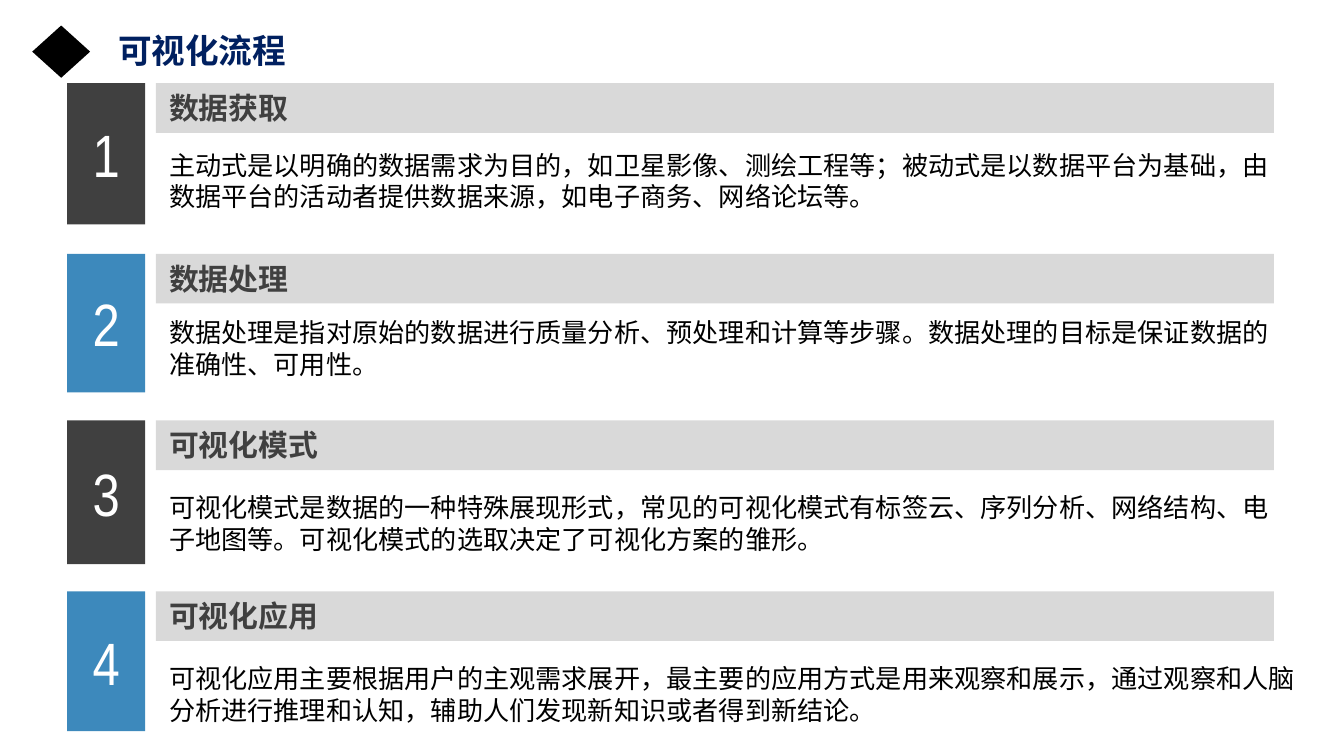
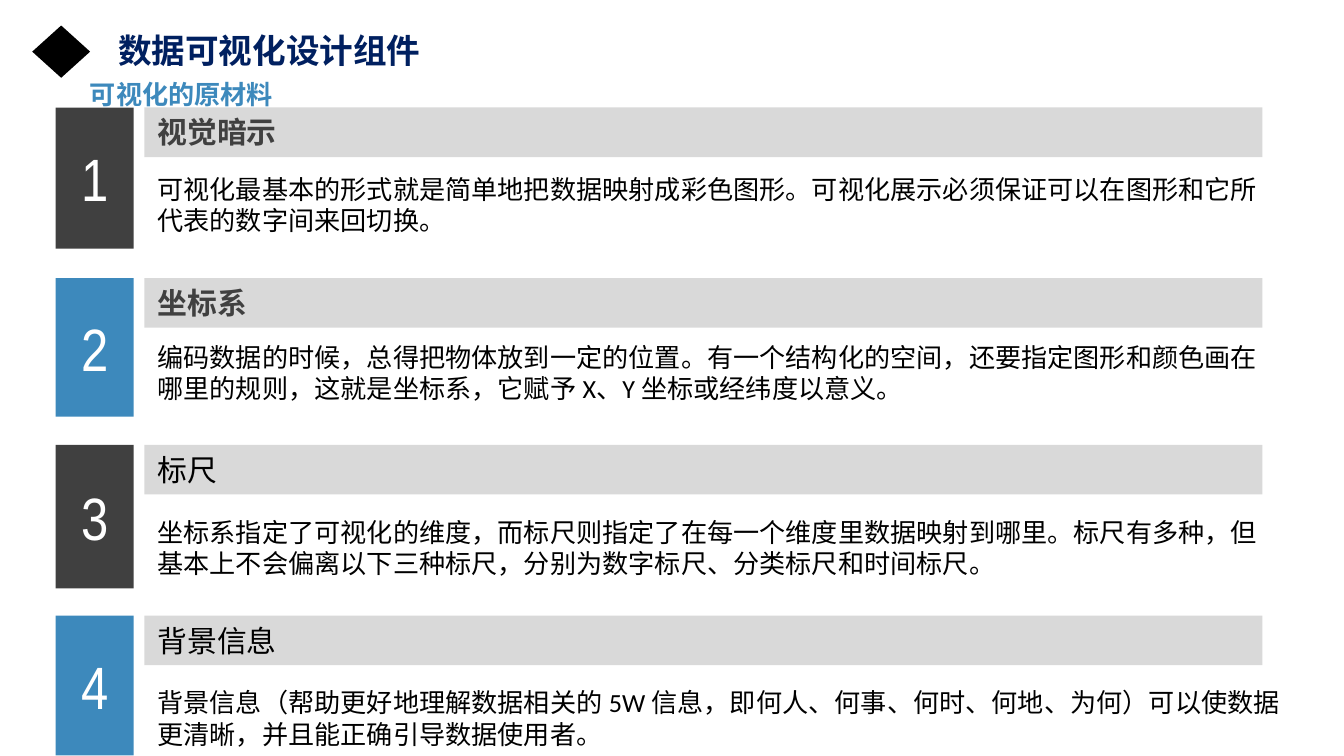
from pptx import Presentation
from pptx.dml.color import RGBColor
from pptx.enum.shapes import MSO_SHAPE as Shape
from pptx.enum.text import MSO_ANCHOR as Anchor, MSO_AUTO_SIZE as AutoSize, PP_ALIGN as Align
from pptx.util import Pt

BLACK, WHITE, NAVY = "000000", "FFFFFF", "002060"
DARK, BLUE, BAND = "404040", "3D89BC", "D9D9D9"

# Row layout: offset from first row, badge height, offset of the body text
ROWS = [(0, 75.6, 31.7), (91.4, 74.2, 30.2), (180.7, 77, 34.6), (272.2, 74.9, 34.6)]
BODY_WIDTHS = [607, 607, 607, 619.2]
BADGE_WIDTH, BAND_LEFT, BAND_WIDTH, BAND_HEIGHT = 41.8, 47.5, 599, 26.6

# Slide content: title, subtitle, left and top of the rows, (heading, bold, body)
SLIDES = [
    ("可视化流程", None, 36, 44.6, [
        ("数据获取", True, "主动式是以明确的数据需求为目的，如卫星影像、测绘工程等；被动式是以数据平台为基础，由数据平台的活动者提供数据来源，如电子商务、网络论坛等。"),
        ("数据处理", True, "数据处理是指对原始的数据进行质量分析、预处理和计算等步骤。数据处理的目标是保证数据的准确性、可用性。"),
        ("可视化模式", True, "可视化模式是数据的一种特殊展现形式，常见的可视化模式有标签云、序列分析、网络结构、电子地图等。可视化模式的选取决定了可视化方案的雏形。"),
        ("可视化应用", True, "可视化应用主要根据用户的主观需求展开，最主要的应用方式是用来观察和展示，通过观察和人脑分析进行推理和认知，辅助人们发现新知识或者得到新结论。"),
    ]),
    ("数据可视化设计组件", "可视化的原材料", 29.8, 57.6, [
        ("视觉暗示", True, "可视化最基本的形式就是简单地把数据映射成彩色图形。可视化展示必须保证可以在图形和它所代表的数字间来回切换。"),
        ("坐标系", True, "编码数据的时候，总得把物体放到一定的位置。有一个结构化的空间，还要指定图形和颜色画在哪里的规则，这就是坐标系，它赋予 X、Y 坐标或经纬度以意义。"),
        ("标尺", False, "坐标系指定了可视化的维度，而标尺则指定了在每一个维度里数据映射到哪里。标尺有多种，但基本上不会偏离以下三种标尺，分别为数字标尺、分类标尺和时间标尺。"),
        ("背景信息", False, "背景信息（帮助更好地理解数据相关的 5W 信息，即何人、何事、何时、何地、为何）可以使数据更清晰，并且能正确引导数据使用者。"),
    ]),
]


def add_block(slide, box, fill, kind=Shape.RECTANGLE):
    """Add a filled shape, or a text box when there is no fill."""
    lengths = [Pt(value) for value in box]
    if fill is None:
        return slide.shapes.add_textbox(*lengths)
    shape = slide.shapes.add_shape(kind, *lengths)
    shape.shadow.inherit = False
    shape.fill.solid()
    shape.fill.fore_color.rgb = RGBColor.from_string(fill)
    shape.line.fill.background()
    return shape


def write(shape, text, size, color, bold=False, font="Calibri", align=Align.LEFT,
          anchor=Anchor.TOP, fit=AutoSize.SHAPE_TO_FIT_TEXT):
    """Put one paragraph into a shape and return it."""
    frame = shape.text_frame
    frame.word_wrap = True
    frame.auto_size = fit
    frame.vertical_anchor = anchor
    paragraph = frame.paragraphs[0]
    paragraph.text = text
    paragraph.alignment = align
    paragraph.font.name = font
    paragraph.font.size = Pt(size)
    paragraph.font.bold = bold
    paragraph.font.color.rgb = RGBColor.from_string(color)
    return paragraph


presentation = Presentation()
presentation.slide_width, presentation.slide_height = Pt(720), Pt(405)

for title, subtitle, left, first_top, rows in SLIDES:
    slide = presentation.slides.add_slide(presentation.slide_layouts[6])

    # Header: plain mark and title
    add_block(slide, (17.3, 13.7, 31, 28), BLACK, Shape.DIAMOND)
    title_box = add_block(slide, (56.2, 5.8, 373.7, 33.1), None)
    paragraph = write(title_box, title, 18, NAVY, bold=True)
    paragraph.line_spacing = 1.3
    paragraph.space_before = Pt(3)

    # Subtitle without insets
    if subtitle:
        subtitle_box = add_block(slide, (48.2, 41.8, 617.8, 17.3), None)
        write(subtitle_box, subtitle, 14, BLUE, bold=True)
        frame = subtitle_box.text_frame
        frame.margin_left = frame.margin_right = frame.margin_top = frame.margin_bottom = 0

    # Numbered rows: badge, heading band, body text
    for index, (heading, bold, body) in enumerate(rows):
        offset, badge_height, body_offset = ROWS[index]
        top = first_top + offset
        text_left = left + BAND_LEFT

        badge = add_block(slide, (left, top, BADGE_WIDTH, badge_height), BLUE if index % 2 else DARK)
        write(badge, str(index + 1), 32, WHITE, font="Arial Narrow", align=Align.CENTER,
              anchor=Anchor.MIDDLE, fit=AutoSize.NONE)

        band = add_block(slide, (text_left, top, BAND_WIDTH, BAND_HEIGHT), BAND)
        write(band, heading, 16, DARK if bold else BLACK, bold=bold)

        body_box = add_block(slide, (text_left, top + body_offset, BODY_WIDTHS[index], 41), None)
        write(body_box, body, 14, BLACK)

presentation.save("out.pptx")
